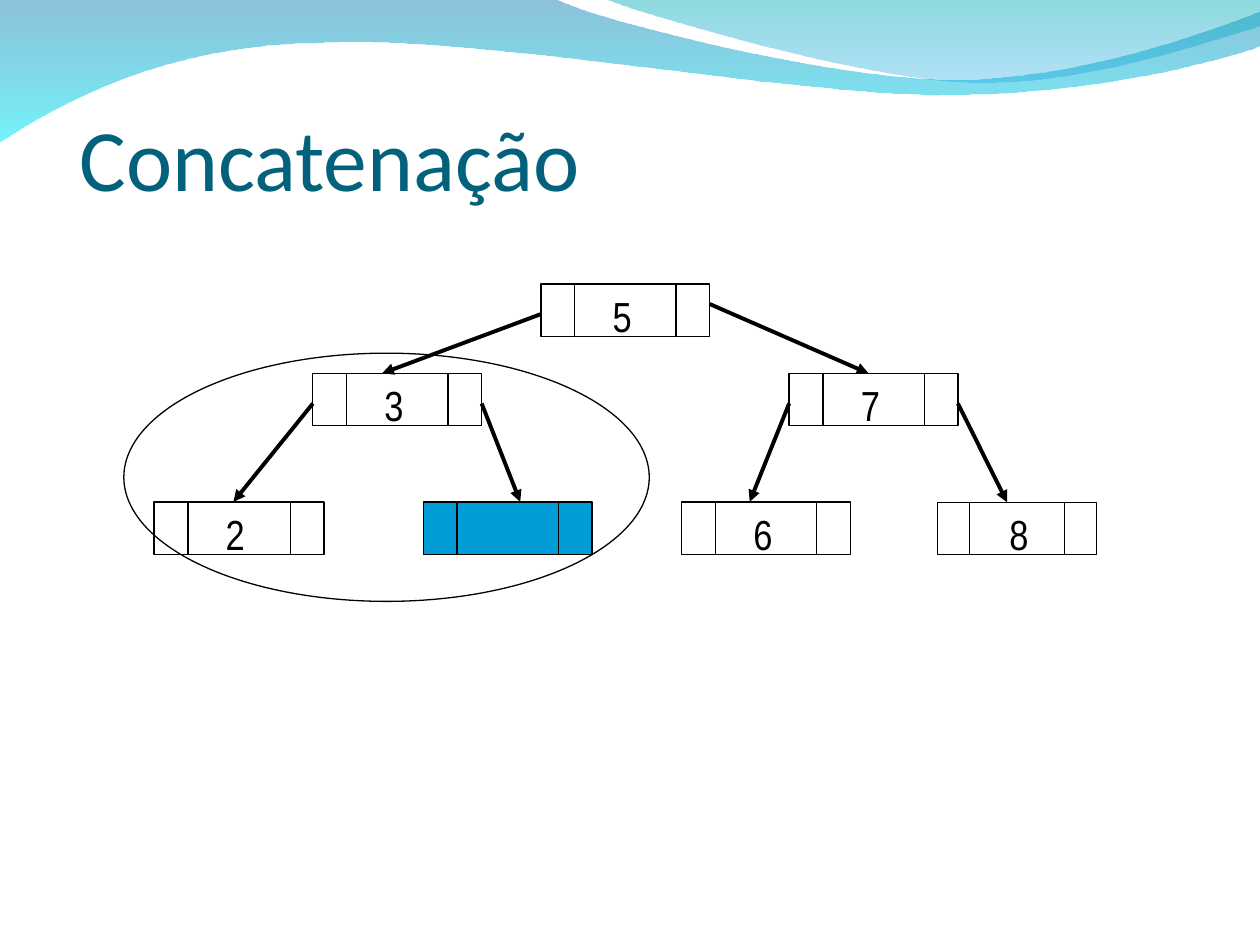
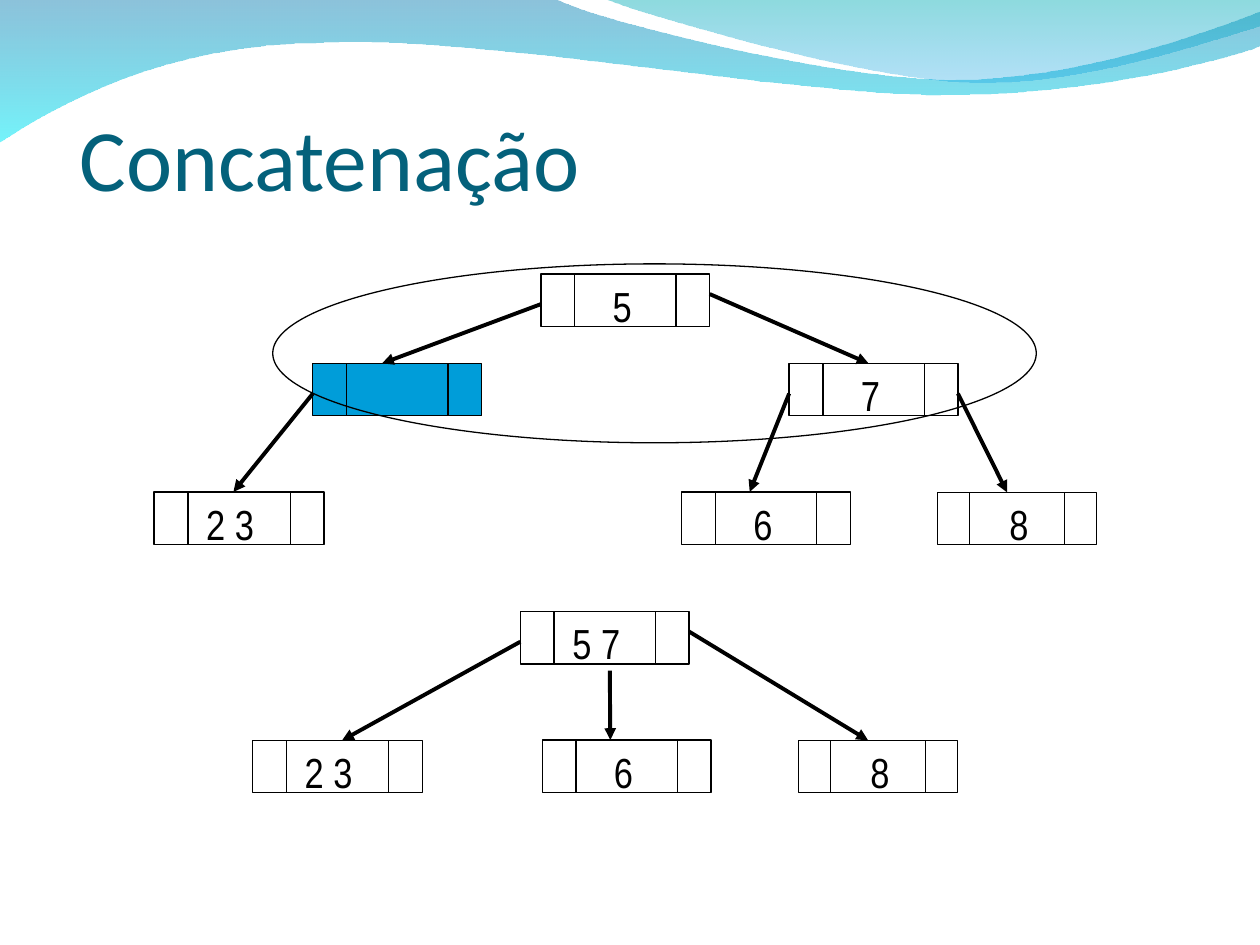
import dataclasses

import lxml.etree
import pptx
import pptx.dml.color
import pptx.enum.shapes
import pptx.enum.text
import pptx.oxml.ns
import pptx.util


@dataclasses.dataclass(frozen=True)
class Theme:
    ink: str = "000000"
    title_color: str = "04617B"
    highlight: str = "009DD9"
    back_wave: tuple = (("0079AF", 45), ("00EBF8", 55))
    front_wave: tuple = (("00ADB6", 45), ("009BE5", 30))
    title_font: str = "Calibri"
    key_font: str = "Arial Narrow"
    title_size: float = 50
    key_size: float = 24
    thin: float = 0.75
    thick: float = 2.25


@dataclasses.dataclass(frozen=True)
class Box:
    left: float
    top: float
    width: float
    height: float

    def place(self, left, top, width, height):
        return Box(self.left + left, self.top + top, width, height)

    def point(self, column, row):
        return cells(self.left + column), cells(self.top + row)

    def frame(self):
        return tuple(cells(value) for value in dataclasses.astuple(self))


THEME = Theme()
COLUMNS, ROWS = 100, 75
CELL = pptx.util.Inches(0.1)
SLIDE = Box(0, 0, COLUMNS, ROWS)
NODE_HEIGHT = 4.16
WIDE, NARROW = 13.4, 12.6

BACK_WAVE = [
    [(0, -0.1)], [(44, -0.1)],
    [(47.6, 1.7), (66.4, 6.3), (75.8, 6.3)],
    [(85.3, 6.3), (95.8, 2.6), (100, 0.9)],
    [(100.1, 3.6)],
    [(98.3, 4.4), (87, 7.6), (74.6, 7.5)],
    [(62.2, 7.5), (38.2, 2.8), (25.7, 3.4)],
    [(12.9, 3.5), (4.6, 8.3), (-0.1, 11.3)],
]
FRONT_WAVE = [
    [(47.9, -0.1)],
    [(50.9, 1.1), (68.2, 6.2), (76.9, 6.5)],
    [(85.6, 6.9), (96.1, 3.2), (100, 2.1)],
    [(100, 0)],
]

UPPER_NODES = {
    "root": (30.7, 0, WIDE), "left": (12.6, 7.1, WIDE), "right": (50.4, 7.1, WIDE),
    "first": (0, 17.3, 13.5), "second": (21.36, 17.3, WIDE),
    "third": (41.87, 17.3, WIDE), "fourth": (62.2, 17.34, NARROW),
}
UPPER_ARROWS = [
    ("root", (0, 2.4), "left", 5.5), ("root", (WIDE, 1.6), "right", 6.3),
    ("left", (0, 2.4), "first", 6.3), ("left", (WIDE, 2.4), "second", 7.7),
    ("right", (0, 2.4), "third", 5.4), ("right", (WIDE, 2.4), "fourth", 5.5),
]
LOWER_NODES = {
    "root": (21.2, 0, WIDE), "first": (-0.05, 10.23, 13.5),
    "second": (22.94, 10.2, WIDE), "third": (43.3, 10.23, NARROW),
}
LOWER_ARROWS = [
    ("root", (0, 2.4), "first", 7.1), ("root", (7.1, 4.7), "second", 5.4),
    ("root", (WIDE, 1.6), "third", 5.5),
]


def cells(count):
    return round(count * CELL)


def rgb(code):
    return pptx.dml.color.RGBColor.from_string(code)


def apply(target, values):
    for name, value in values.items():
        setattr(target, name, value)


def add_child(parent, tag, **attributes):
    return lxml.etree.SubElement(parent, pptx.oxml.ns.qn(tag), attributes)


def outline(shape, weight):
    shape.line.color.rgb = rgb(THEME.ink)
    shape.line.width = pptx.util.Pt(weight)


def draw_line(shapes, start, end, weight, arrow=False):
    line = shapes.add_connector(pptx.enum.shapes.MSO_CONNECTOR.STRAIGHT, *start, *end)
    outline(line, weight)
    properties = line._element.spPr
    if arrow:
        add_child(properties.find(pptx.oxml.ns.qn("a:ln")), "a:tailEnd", type="triangle")
    add_child(properties, "a:effectLst")


def draw_outline_shape(shapes, kind, box, fill=None):
    shape = shapes.add_shape(kind, *box.frame())
    shape.shadow.inherit = False
    outline(shape, THEME.thin)
    if fill:
        shape.fill.solid()
        shape.fill.fore_color.rgb = rgb(fill)
    else:
        shape.fill.background()


def draw_text(page, box, words, frame_format, font_format, color):
    frame = page.shapes.add_textbox(*box.frame()).text_frame
    apply(frame, {"word_wrap": True, **frame_format})
    para = frame.paragraphs[0]
    span = para.add_run()
    span.text = words
    apply(span.font, font_format)
    span.font.color.rgb = rgb(color)


def bend_curves(properties, segments):
    steps = iter(list(properties.iter(pptx.oxml.ns.qn("a:lnTo"))))
    for segment in segments[1:]:
        group = [next(steps) for _ in segment]
        if len(group) == 3:
            curve = lxml.etree.Element(pptx.oxml.ns.qn("a:cubicBezTo"))
            group[0].addprevious(curve)
            for step in group:
                curve.append(step[0])
                step.getparent().remove(step)


def draw_wave(page, box, segments, stops):
    corners = [box.point(*point) for segment in segments for point in segment]
    builder = page.shapes.build_freeform(*corners[0])
    builder.add_line_segments(corners[1:], close=True)
    wave = builder.convert_to_shape()
    bend_curves(wave._element.spPr, segments)
    wave.shadow.inherit = False
    wave.line.fill.background()
    wave.fill.gradient()
    wave.fill.gradient_angle = 270
    for stop, (color, opacity) in zip(wave.fill.gradient_stops, stops):
        stop.color.rgb = rgb(color)
    colors = wave._element.spPr.iter(pptx.oxml.ns.qn("a:srgbClr"))
    for element, (color, opacity) in zip(list(colors), stops):
        add_child(element, "a:alpha", val=str(opacity * 1000))


def draw_header(page, box, title):
    draw_wave(page, box, BACK_WAVE, THEME.back_wave)
    draw_wave(page, box, FRONT_WAVE, THEME.front_wave)
    draw_text(
        page, box.place(6.3, 3.4, 87.5, 13.2), title,
        {
            "vertical_anchor": pptx.enum.text.MSO_ANCHOR.BOTTOM,
            "margin_left": 0, "margin_right": 0, "margin_bottom": 0,
            "margin_top": cells(0.5),
        },
        {"name": THEME.title_font, "size": pptx.util.Pt(THEME.title_size)},
        THEME.title_color,
    )


def draw_node(page, box, key):
    group = page.shapes.add_group_shape()
    fill = None if key else THEME.highlight
    draw_outline_shape(group.shapes, pptx.enum.shapes.MSO_SHAPE.RECTANGLE, box, fill)
    for share in (0.2, 0.8):
        column = share * box.width
        draw_line(group.shapes, box.point(column, 0), box.point(column, box.height), THEME.thin)
    if key:
        indent, width = (4.7, 5.5) if len(key) == 1 else (3.15, 7.9)
        draw_text(
            page, box.place(indent, 0, width, 5), key,
            {"auto_size": pptx.enum.text.MSO_AUTO_SIZE.SHAPE_TO_FIT_TEXT},
            {"name": THEME.key_font, "size": pptx.util.Pt(THEME.key_size)},
            THEME.ink,
        )


def draw_tree(page, box, nodes, arrows, keys):
    boxes = {
        name: box.place(left, top, width, NODE_HEIGHT)
        for name, (left, top, width) in nodes.items() if name in keys
    }
    for name, node_box in boxes.items():
        draw_node(page, node_box, keys[name])
    for parent, start, child, entry in arrows:
        if child in boxes:
            draw_line(
                page.shapes, boxes[parent].point(*start), boxes[child].point(entry, 0),
                THEME.thick, arrow=True,
            )


def draw_upper_tree(page, box, keys, ring):
    draw_tree(page, box, UPPER_NODES, UPPER_ARROWS, keys)
    draw_outline_shape(page.shapes, pptx.enum.shapes.MSO_SHAPE.OVAL, box.place(*ring))


def add_page(deck, title):
    page = deck.slides.add_slide(deck.slide_layouts[6])
    draw_header(page, SLIDE, title)
    return page


def main():
    deck = pptx.Presentation()
    apply(deck, {"slide_width": cells(COLUMNS), "slide_height": cells(ROWS)})
    title = "Concatenação"
    shared_keys = {"root": "5", "right": "7", "third": "6", "fourth": "8"}

    page = add_page(deck, title)
    draw_upper_tree(
        page, SLIDE.place(12.23, 22.53, 74.8, 21.6),
        {**shared_keys, "left": "3", "first": "2", "second": ""},
        (-2.4, 5.5, 41.7, 19.7),
    )

    page = add_page(deck, title)
    draw_upper_tree(
        page, SLIDE.place(12.23, 21.74, 74.8, 21.6),
        {**shared_keys, "left": "", "first": "2 3"},
        (9.42, -0.8, 60.6, 14.2),
    )
    draw_tree(
        page, SLIDE.place(20.1, 48.53, 55.9, 14.5), LOWER_NODES, LOWER_ARROWS,
        {"root": "5 7", "first": "2 3", "second": "6", "third": "8"},
    )
    deck.save("out.pptx")


if __name__ == "__main__":
    main()
